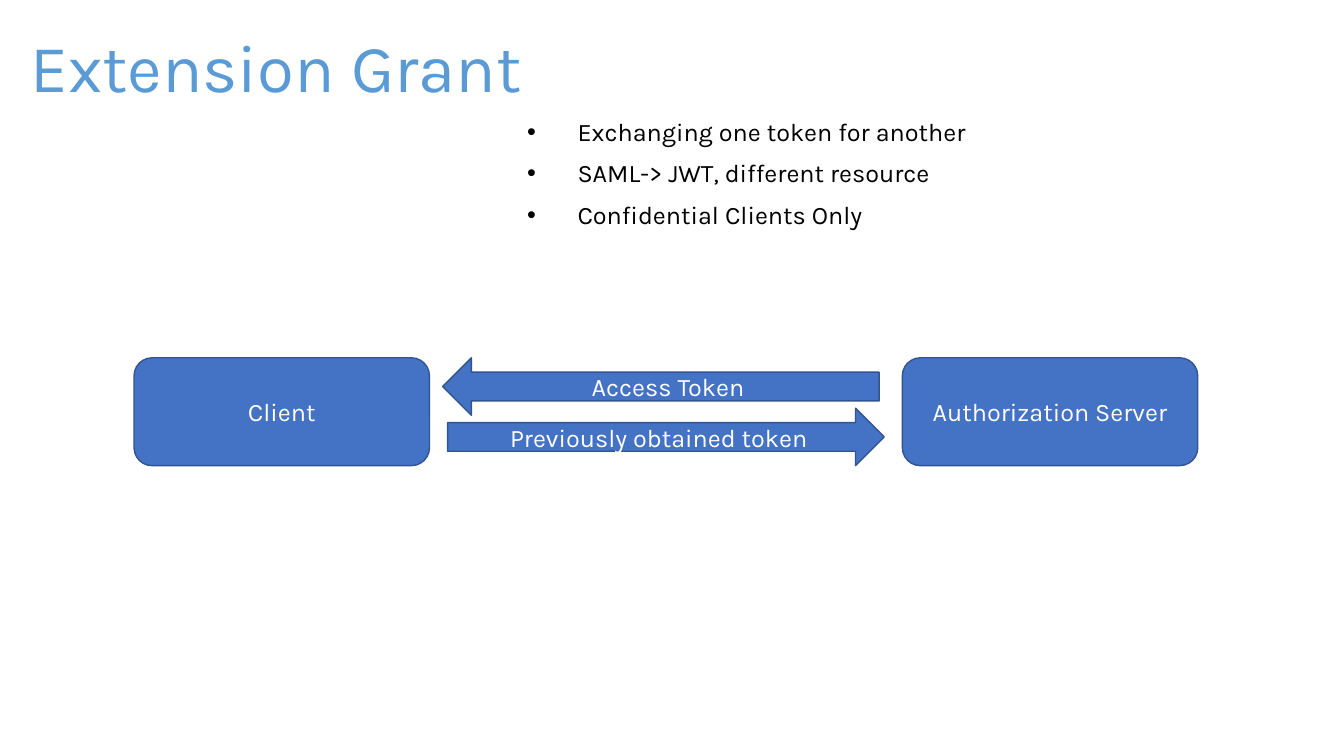
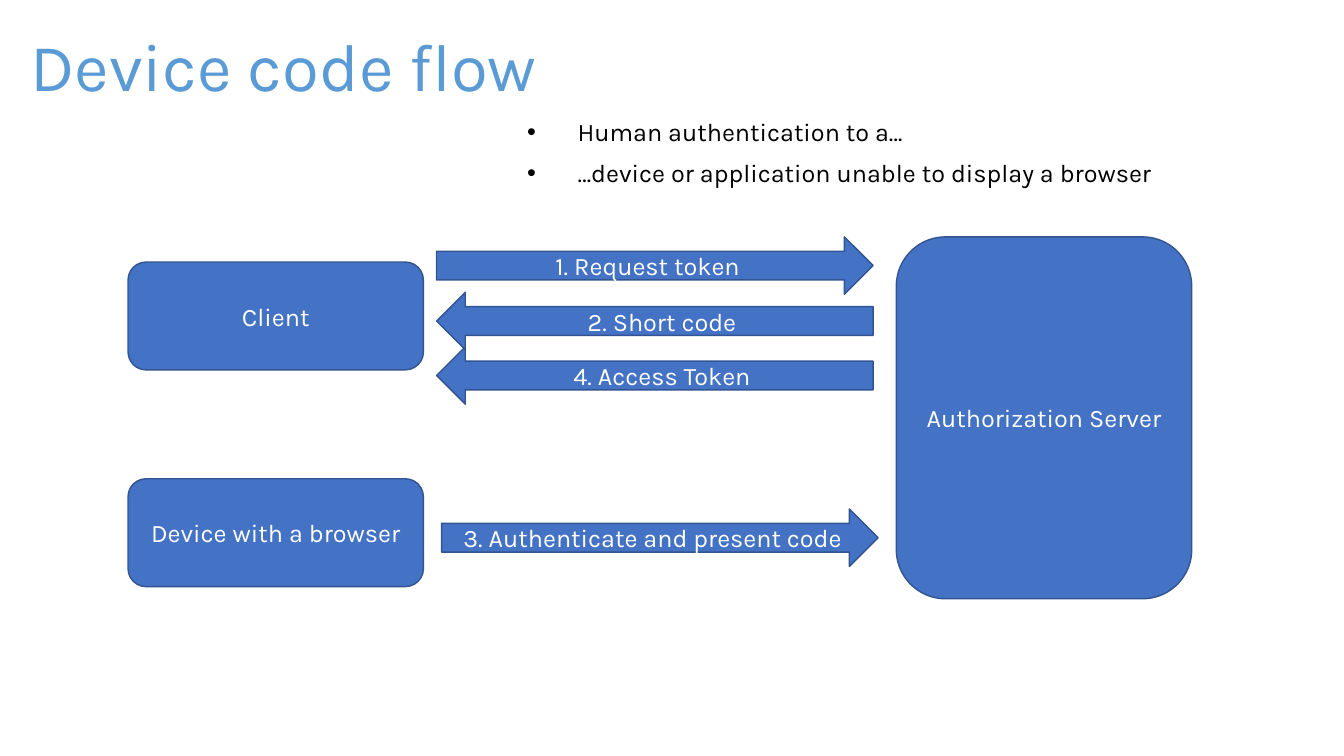
from lxml import etree
from pptx import Presentation
from pptx import util as u
from pptx.dml.color import RGBColor
from pptx.enum import shapes, text
from pptx.oxml.ns import qn

PX = 9144  # 100 px to the inch
FONT = "Karla"
HUE = {"title": "5B9BD5", "body": "000000", "fill": "4472C4",
       "line": "325491", "label": "FFFFFF"}
KIND = {"box": shapes.MSO_SHAPE.ROUNDED_RECTANGLE,
        "right": shapes.MSO_SHAPE.RIGHT_ARROW,
        "left": shapes.MSO_SHAPE.LEFT_ARROW}
SIZE = {"box": (293, 107), "right": (433, 57), "left": (433, 57)}
TALL = 359  # server box that spans both clients

# Each part: kind, left, top, label and, if unusual, height
SLIDES = [
    {"title": "Extension Grant", "top": 20,
     "points": ["Exchanging one token for another",
                "SAML-> JWT, different resource",
                "Confidential Clients Only"],
     "parts": [("box", 133, 355, "Client"),
               ("box", 895, 355, "Authorization Server"),
               ("right", 444, 405, "Previously obtained token"),
               ("left", 439, 355, "Access Token")]},
    {"title": "Device code flow", "top": 19,
     "points": ["Human authentication to a…",
                "…device or application unable to display a browser"],
     "parts": [("box", 127, 260, "Client"),
               ("box", 889, 235, "Authorization Server", TALL),
               ("right", 433, 235, "1. Request token"),
               ("left", 433, 344, "4. Access Token"),
               ("box", 127, 475, "Device with a browser"),
               ("left", 433, 290, "2. Short code"),
               ("right", 438, 505, "3. Authenticate and present code")]},
]


def px(*nums):
    return [u.Emu(n * PX) for n in nums]


def write(para, words, size, hue, align):
    para.alignment = align
    run = para.add_run()
    run.text = words
    run.font.name = FONT
    run.font.size = u.Pt(size)
    run.font.color.rgb = RGBColor.from_string(HUE[hue])


deck = Presentation()
deck.slide_width, deck.slide_height = px(1333, 750)
LEFT, MID = text.PP_ALIGN.LEFT, text.PP_ALIGN.CENTER

for spec_row in SLIDES:
    slide = deck.slides.add_slide(deck.slide_layouts[5])

    # Title
    title = slide.shapes.title
    title.left, title.top, title.width, title.height = px(
        20, spec_row["top"], 1299, 100)
    frame = title.text_frame
    frame.auto_size = text.MSO_AUTO_SIZE.NONE
    frame.vertical_anchor = text.MSO_ANCHOR.MIDDLE
    para = frame.paragraphs[0]
    para.line_spacing = 0.9
    write(para, spec_row["title"], 48, "title", LEFT)

    # Boxes and arrows
    for kind, left, top, label, *tall in spec_row["parts"]:
        wide, high = SIZE[kind]
        high = tall[0] if tall else high
        shape = slide.shapes.add_shape(KIND[kind], *px(left, top, wide, high))
        shape.shadow.inherit = False
        shape.fill.solid()
        shape.fill.fore_color.rgb = RGBColor.from_string(HUE["fill"])
        shape.line.color.rgb = RGBColor.from_string(HUE["line"])
        shape.line.width = u.Pt(1)
        frame = shape.text_frame
        frame.vertical_anchor = text.MSO_ANCHOR.MIDDLE
        write(frame.paragraphs[0], label, 18, "label", MID)

    # Bullet points
    frame = slide.shapes.add_textbox(*px(513, 114, 694, 192)).text_frame
    frame.word_wrap = True
    for i, point in enumerate(spec_row["points"]):
        para = frame.add_paragraph() if i else frame.paragraphs[0]
        para.line_spacing = 0.9
        para.space_before = u.Pt(10)
        write(para, point, 18, "body", LEFT)
        props = para._p.get_or_add_pPr()
        props.set("marL", str(50 * PX))
        props.set("indent", str(-50 * PX))
        etree.SubElement(props, qn("a:buFont"), typeface="Arial")
        etree.SubElement(props, qn("a:buChar"), char="•")

deck.save("out.pptx")
